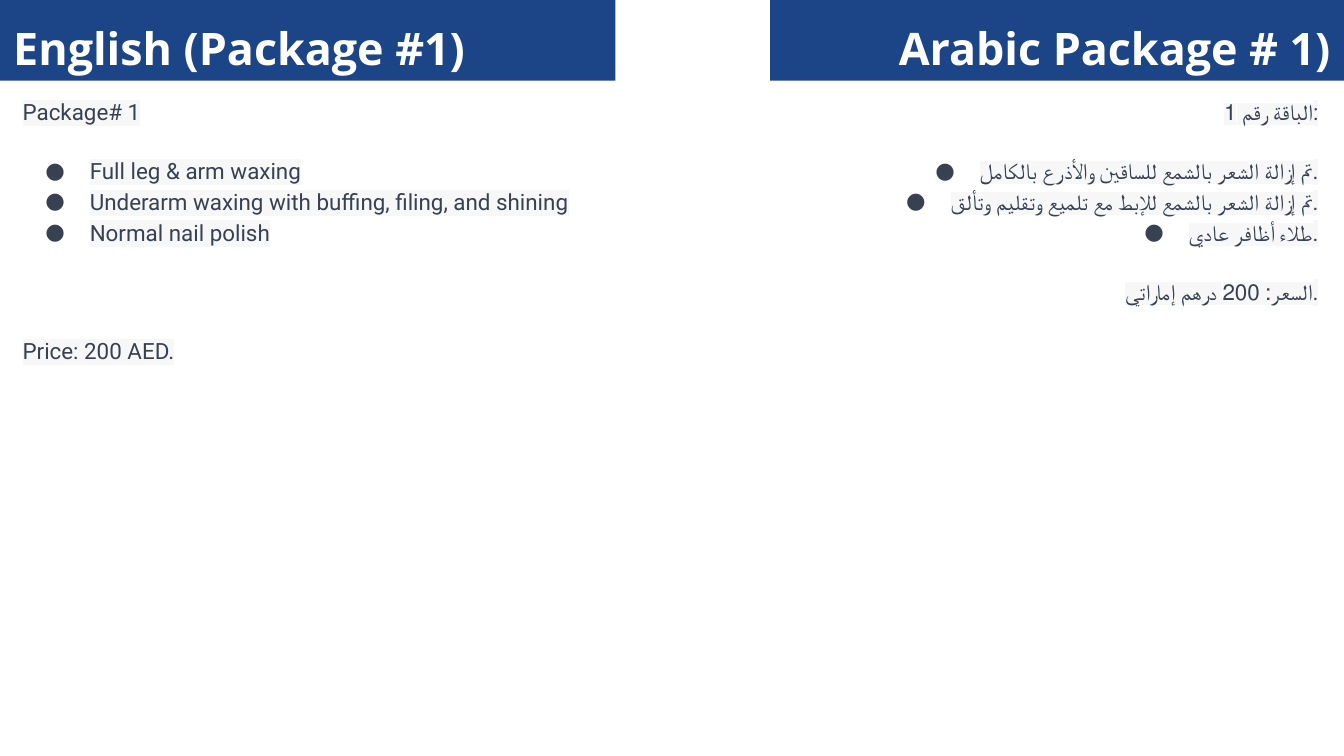
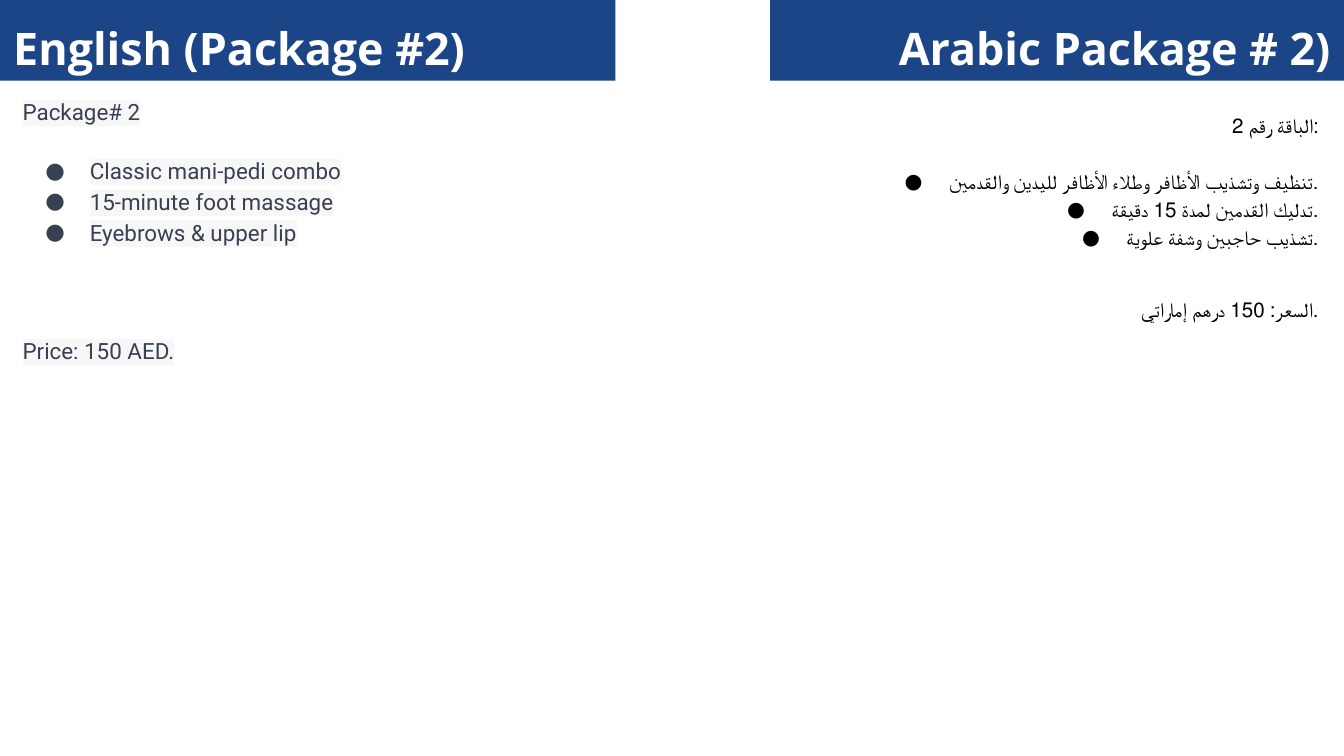
import dataclasses

import lxml.etree
import pptx
import pptx.dml.color
import pptx.enum.shapes
import pptx.enum.text
import pptx.oxml.ns
import pptx.util

LEFT = pptx.enum.text.PP_ALIGN.LEFT
RIGHT = pptx.enum.text.PP_ALIGN.RIGHT


@dataclasses.dataclass(frozen=True)
class Theme:
    band: str = "1C4587"
    band_text: str = "FFFFFF"
    slate: str = "374151"
    black: str = "000000"
    highlight: str = "F7F7F8"
    title_font: str = "Open Sans"
    body_font: str = "Roboto"
    title_size: int = 24
    body_size: int = 12
    small_size: int = 11
    line_spacing: float = 1.15
    loose_spacing: float = 1.75
    gap: int = 15
    wide_gap: int = 47


THEME = Theme()


def add_child(parent, tag, **attributes):
    return lxml.etree.SubElement(parent, pptx.oxml.ns.qn(tag), attributes)


def write_text(para, text, *, font, size, color, bold=None, highlight=None,
               align=LEFT, line_spacing=None, space_before=None, bullet=False):
    """Write one formatted span into a paragraph."""
    para.alignment = align
    if line_spacing:
        para.line_spacing = line_spacing
    if space_before is not None:
        para.space_before = pptx.util.Pt(space_before)
    if bullet:
        properties = para._p.get_or_add_pPr()
        properties.set("marL", str(pptx.util.Inches(0.5)))
        properties.set("indent", str(pptx.util.Inches(-0.33)))
        add_child(add_child(properties, "a:buClr"), "a:srgbClr", val=color)
        add_child(properties, "a:buSzPts", val=str(size * 100))
        add_child(properties, "a:buFont", typeface=font)
        add_child(properties, "a:buChar", char="●")
    span = para.add_run()
    span.text = text
    span.font.size = pptx.util.Pt(size)
    span.font.bold = bold
    span.font.color.rgb = pptx.dml.color.RGBColor.from_string(color)
    if highlight:
        mark = add_child(span._r.get_or_add_rPr(), "a:highlight")
        add_child(mark, "a:srgbClr", val=highlight)
    span.font.name = font


class PackageDeck:
    """Holds the style and the current page, laid out on a fine grid."""

    COLUMNS, ROWS = 100, 56.25

    def __init__(self, theme):
        self.theme = theme
        self.deck = pptx.Presentation()
        self.deck.slide_width = pptx.util.Inches(10)
        self.deck.slide_height = self.deck.slide_width * 9 // 16
        self.page = None

    def new_page(self):
        self.page = self.deck.slides.add_slide(self.deck.slide_layouts[6])

    def place(self, column, row, columns, rows):
        across = self.deck.slide_width / self.COLUMNS
        down = self.deck.slide_height / self.ROWS
        return (round(column * across), round(row * down),
                round(columns * across), round(rows * down))

    def inset(self, frame, side, vertical):
        frame.word_wrap = True
        frame.margin_left = frame.margin_right = pptx.util.Inches(side)
        frame.margin_top = frame.margin_bottom = pptx.util.Inches(vertical)

    def title_band(self, text, column, columns, align):
        band = self.page.shapes.add_shape(
            pptx.enum.shapes.MSO_SHAPE.RECTANGLE, *self.place(column, 0, columns, 6))
        band.shadow.inherit = False
        band.fill.solid()
        band.fill.fore_color.rgb = pptx.dml.color.RGBColor.from_string(self.theme.band)
        band.line.fill.background()
        frame = band.text_frame
        self.inset(frame, 0.1, 0.05)
        frame.vertical_anchor = pptx.enum.text.MSO_ANCHOR.BOTTOM
        write_text(frame.paragraphs[0], text, font=self.theme.title_font,
                   size=self.theme.title_size, color=self.theme.band_text,
                   bold=True, align=align)

    def package_box(self, area, heading, services, price, *, align, price_gap,
                    plain=False):
        theme = self.theme
        box = self.page.shapes.add_textbox(*self.place(*area))
        frame = box.text_frame
        self.inset(frame, 0.1, 0.1)
        frame.auto_size = pptx.enum.text.MSO_AUTO_SIZE.SHAPE_TO_FIT_TEXT
        style = dict(font=theme.body_font, align=align,
                     size=theme.small_size if plain else theme.body_size,
                     color=theme.black if plain else theme.slate,
                     highlight=None if plain else theme.highlight)
        outer_spacing = theme.loose_spacing if plain else theme.line_spacing

        write_text(frame.paragraphs[0], heading, line_spacing=outer_spacing,
                   space_before=theme.gap, **style)
        for index, service in enumerate(services):
            write_text(frame.add_paragraph(), service, bullet=True,
                       line_spacing=theme.line_spacing,
                       space_before=0 if index else theme.gap, **style)
        write_text(frame.add_paragraph(), price, line_spacing=outer_spacing,
                   space_before=price_gap, **style)

    def save(self):
        self.deck.save("out.pptx")


# Wording of each package
PACKAGES = [
    dict(
        english=["Full leg & arm waxing",
                 "Underarm waxing with buffing, filing, and shining",
                 "Normal nail polish"],
        arabic=["تم إزالة الشعر بالشمع للساقين والأذرع بالكامل.",
                "تم إزالة الشعر بالشمع للإبط مع تلميع وتقليم وتألق.",
                "طلاء أظافر عادي."],
        price=200, english_rows=30.8, arabic_rows=19.9, plain_arabic=False),
    dict(
        english=["Classic mani-pedi combo",
                 "15-minute foot massage",
                 "Eyebrows & upper lip"],
        arabic=["تنظيف وتشذيب الأظافر وطلاء الأظافر لليدين والقدمين.",
                "تدليك القدمين لمدة 15 دقيقة.",
                "تشذيب حاجبين وشفة علوية."],
        price=150, english_rows=35.2, arabic_rows=21.1, plain_arabic=True),
]


def main():
    deck = PackageDeck(THEME)
    for number, package in enumerate(PACKAGES, start=1):
        deck.new_page()
        price = package["price"]
        # English half
        deck.package_box((0.7, 6, 43.6, package["english_rows"]),
                         f"Package# {number}", package["english"],
                         f"Price: {price} AED.",
                         align=LEFT, price_gap=THEME.wide_gap)
        # Arabic half
        deck.package_box((51.1, 6, 48, package["arabic_rows"]),
                         f"الباقة رقم {number}:", package["arabic"],
                         f"السعر: {price} درهم إماراتي.",
                         align=RIGHT, price_gap=THEME.gap,
                         plain=package["plain_arabic"])
        # Title bands
        deck.title_band(f"English (Package #{number})", 0, 45.8, LEFT)
        deck.title_band(f"Arabic Package # {number})", 57.3, 42.7, RIGHT)
    deck.save()


if __name__ == "__main__":
    main()
